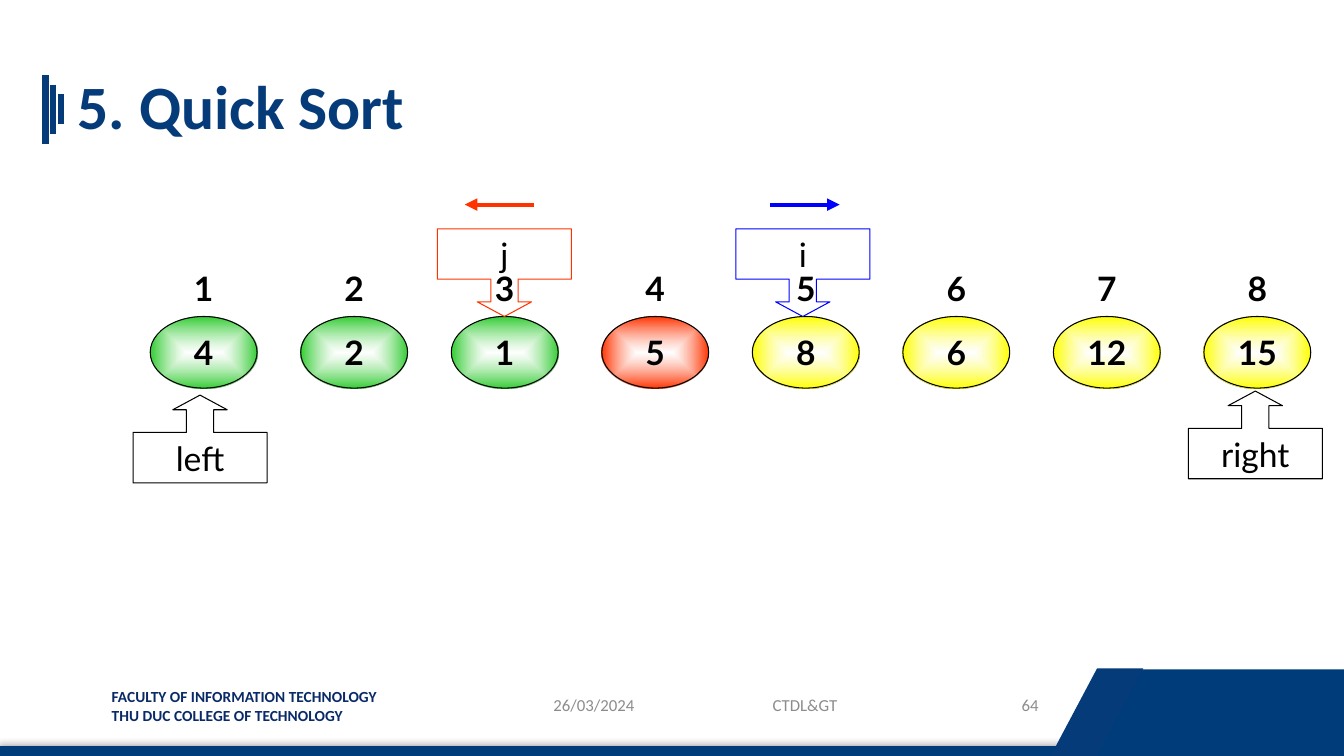
from dataclasses import dataclass

from lxml import etree
from pptx import Presentation
from pptx import util as u
from pptx.dml.color import RGBColor
from pptx.enum import shapes, text
from pptx.oxml import parse_xml
from pptx.oxml.ns import nsdecls, qn

WIDTH, HEIGHT = u.Inches(13.33), u.Inches(7.5)
COLUMN, ROW = WIDTH / 100, HEIGHT / 100
COLORS = {
    "navy": "003B7A", "title": "063B7A", "faculty": "092A67", "grey": "8C8C8C",
    "black": "000000", "white": "FFFFFF", "green": "33CC33", "red": "FF3300",
    "yellow": "FFFF00", "blue": "0000FF",
}
SHAPE = shapes.MSO_SHAPE
ALIGN = text.PP_ALIGN
ANCHOR = text.MSO_ANCHOR

NODE_WIDTH, NODE_HEIGHT, NODE_PITCH = 7.95, 9.47, 11.2
NODES = [("4", "green"), ("2", "green"), ("1", "green"), ("5", "red"),
         ("8", "yellow"), ("6", "yellow"), ("12", "yellow"), ("15", "yellow")]
LABEL = {"size": u.Pt(24), "name": "Lato"}
FOOTER = {"size": u.Pt(12), "name": "Calibri"}


@dataclass
class Box:
    """A region measured in hundredths of the slide's width and height."""
    left: float
    top: float
    width: float
    height: float

    def inner(self, left, top, width, height):
        """Return a box offset from this one."""
        return Box(self.left + left, self.top + top, width, height)

    def place(self):
        """Return left, top, width and height in slide units."""
        return (round(self.left * COLUMN), round(self.top * ROW),
                round(self.width * COLUMN), round(self.height * ROW))


def rgb(color):
    """Look up a named colour."""
    return RGBColor.from_string(COLORS[color])


def write(shape, lines, font, color="black", align=ALIGN.CENTER, anchor=ANCHOR.MIDDLE, spacing=None):
    """Write one paragraph for each line into a shape."""
    frame = shape.text_frame
    frame.word_wrap = True
    frame.vertical_anchor = anchor
    frame.text = "\n".join(lines)
    for paragraph in frame.paragraphs:
        paragraph.alignment = align
        paragraph.line_spacing = spacing
        for name, value in font.items():
            setattr(paragraph.font, name, value)
        paragraph.font.color.rgb = rgb(color)


def add_text(slide, box, lines, font, **layout):
    """Add a text box."""
    write(slide.shapes.add_textbox(*box.place()), lines, font, **layout)


def add_figure(slide, kind, box, fill=None, line=None, width=0.75, adjustments=()):
    """Add a preset shape without an inherited shadow."""
    shape = slide.shapes.add_shape(kind, *box.place())
    shape.shadow.inherit = False
    for index, value in enumerate(adjustments):
        shape.adjustments[index] = value
    if fill:
        shape.fill.solid()
        shape.fill.fore_color.rgb = rgb(fill)
    else:
        shape.fill.background()
    if line:
        shape.line.color.rgb = rgb(line)
        shape.line.width = u.Pt(width)
    else:
        shape.line.fill.background()
    return shape


def add_line(slide, box, color, width, reverse=False, arrow=False):
    """Draw a straight line across a box, with an optional arrowhead."""
    left, top, across, down = box.place()
    ends = [(left, top), (left + across, top + down)]
    if reverse:
        ends.reverse()
    line = slide.shapes.add_connector(shapes.MSO_CONNECTOR.STRAIGHT, *ends[0], *ends[1])
    line.line.color.rgb = rgb(color)
    line.line.width = u.Pt(width)
    properties = line._element.spPr
    if arrow:
        etree.SubElement(properties.find(qn("a:ln")), qn("a:tailEnd"), type="triangle")
    etree.SubElement(properties, qn("a:effectLst"))


def glow(shape, color):
    """Fill a shape with a gradient from a pale centre to a coloured edge."""
    empty = shape._element.spPr.find(qn("a:noFill"))
    gradient = parse_xml(
        f'<a:gradFill {nsdecls("a")} rotWithShape="1"><a:gsLst>'
        f'<a:gs pos="0"><a:srgbClr val="{COLORS["white"]}"><a:alpha val="60000"/></a:srgbClr></a:gs>'
        f'<a:gs pos="100000"><a:srgbClr val="{COLORS[color]}"/></a:gs></a:gsLst>'
        '<a:path path="shape"><a:fillToRect l="50000" t="50000" r="50000" b="50000"/></a:path>'
        '</a:gradFill>')
    empty.getparent().replace(empty, gradient)


def add_title(slide, box, title):
    """Place the three shrinking bars and the title beside them."""
    for index in range(3):
        height = 9.07 - 2.54 * index
        bar = box.inner(0.57 * index, (box.height - height) / 2, 0, height)
        add_line(slide, bar, "title", 4.5)
    add_text(slide, box.inner(1.65, 0, box.width - 1.65, box.height), [title],
             {"size": u.Pt(44), "name": "Calibri", "bold": True},
             color="title", align=ALIGN.LEFT, spacing=0.9)


def add_pointer(slide, box, name, color, kind):
    """Place a callout arrow with its name."""
    callout = add_figure(slide, kind, box, line=color, adjustments=(0.31, 0.31, 0.167, 0.575))
    write(callout, [name], LABEL)


def add_array(slide, box):
    """Place the numbered nodes and the pointers above and below them."""
    bold = {**LABEL, "bold": True}
    for index, (value, color) in enumerate(NODES):
        left = index * NODE_PITCH
        node = add_figure(slide, SHAPE.OVAL, box.inner(left, 14.8, NODE_WIDTH, NODE_HEIGHT), line="black")
        glow(node, color)
        write(node, [value], bold)
        number = add_figure(slide, SHAPE.OVAL, box.inner(left, 6.26, NODE_WIDTH, NODE_HEIGHT))
        write(number, [str(index + 1)], bold)

    for name, index, shift, top in (("left", 0, -1.28, 25.2), ("right", 7, -1.16, 24.66)):
        spot = box.inner(index * NODE_PITCH + shift, top, 9.97, 11.6)
        add_pointer(slide, spot, name, "black", SHAPE.UP_ARROW_CALLOUT)

    for name, index, shift, color, inset in (("i", 4, -1.23, "blue", 2.55), ("j", 2, -1.03, "red", 2.03)):
        spot = box.inner(index * NODE_PITCH + shift, 3.2, 9.97, 11.6)
        add_pointer(slide, spot, name, color, SHAPE.DOWN_ARROW_CALLOUT)
        add_line(slide, spot.inner(inset, -3.2, 5.18, 0), color, 3, reverse=name == "j", arrow=True)


def add_footer(slide, box):
    """Place the footer band, the faculty name and the footer fields."""
    add_text(slide, box.inner(7.58, 2.27, 22.95, 6.27),
             ["FACULTY OF INFORMATION TECHNOLOGY", "THU DUC COLLEGE OF TECHNOLOGY"],
             {"size": u.Pt(11), "name": "Calibri", "bold": True},
             color="faculty", align=ALIGN.LEFT, anchor=ANCHOR.TOP)
    band = add_figure(slide, SHAPE.RECTANGLE, box.inner(0, 10.8, 100, 1.07), "navy", "navy", 1)
    band._element.spPr.find(qn("a:effectLst")).append(parse_xml(
        f'<a:outerShdw {nsdecls("a")} blurRad="{u.Pt(4)}" dist="{u.Pt(2)}" dir="16200000">'
        f'<a:srgbClr val="{COLORS["black"]}"><a:alpha val="40000"/></a:srgbClr></a:outerShdw>'))
    add_figure(slide, SHAPE.RECTANGLE, box.inner(81.92, 0.53, 18.08, 11.47), "navy")
    add_figure(slide, SHAPE.PARALLELOGRAM, box.inner(78.17, 0.4, 6.9, 11.6), "title", adjustments=(0.531,))
    for words, left, width, align in (("26/03/2024", 40.43, 10.05, ALIGN.LEFT),
                                      ("CTDL&GT", 52.21, 15.38, ALIGN.CENTER),
                                      ("64", 69.32, 8.7, ALIGN.RIGHT)):
        add_text(slide, box.inner(left, 2.6, width, 5.33), [words], FOOTER, color="grey", align=align)


def main():
    """Build and save the slide."""
    presentation = Presentation()
    presentation.slide_width, presentation.slide_height = WIDTH, HEIGHT
    slide = presentation.slides.add_slide(presentation.slide_layouts[6])
    add_footer(slide, Box(0, 88, 100, 12))
    add_title(slide, Box(3.38, 6.67, 91.65, 15.6), "5. Quick Sort")
    add_array(slide, Box(11.18, 27.07, 86.3, 36.8))
    presentation.save("out.pptx")


if __name__ == "__main__":
    main()
